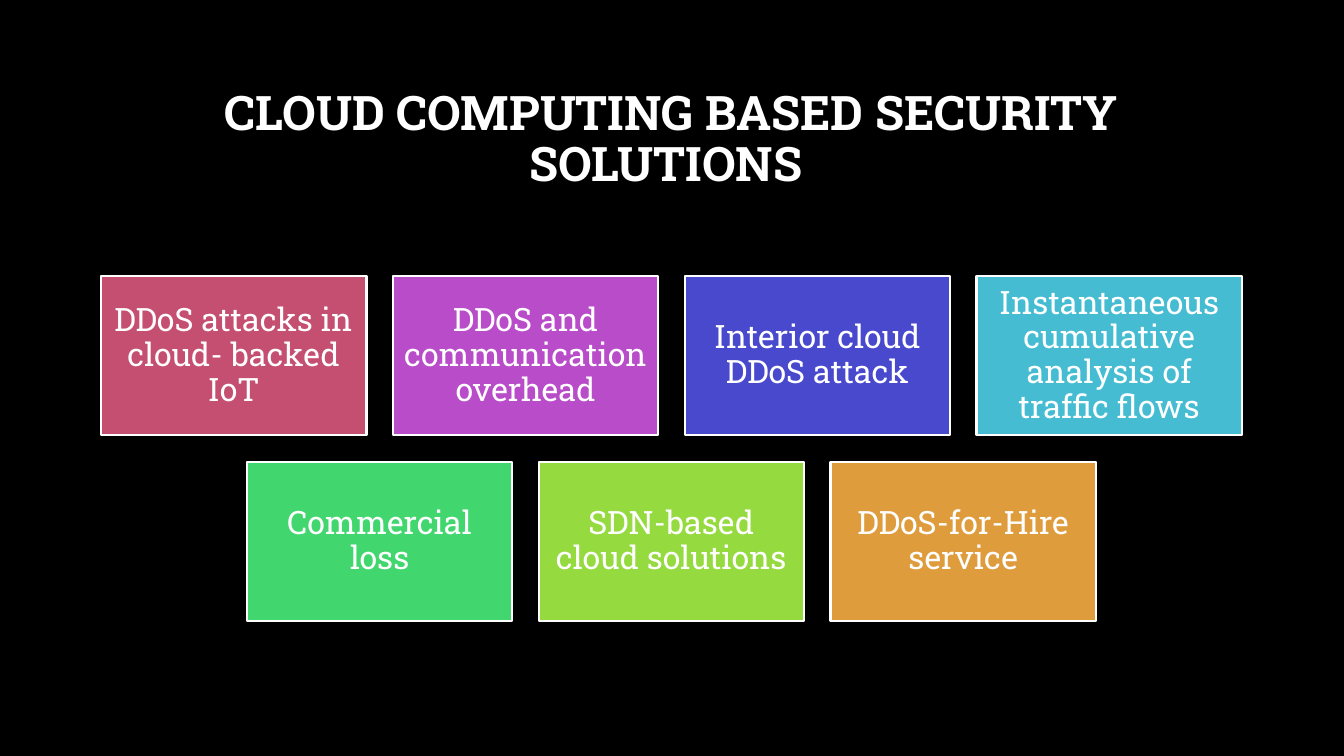
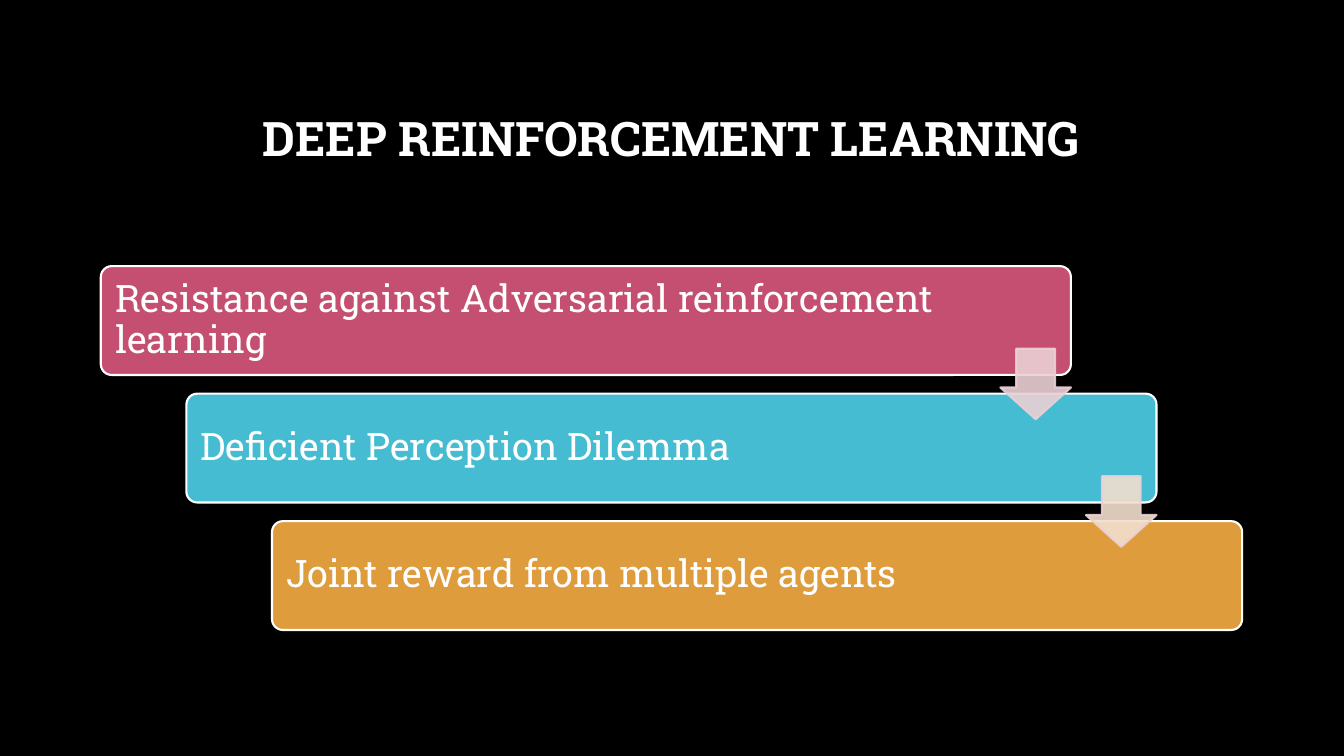
import pptx
import pptx.util
import pptx.dml.color
import pptx.enum.shapes
import pptx.enum.text
import pptx.oxml.ns
import lxml.etree

Inches = pptx.util.Inches
Pt = pptx.util.Pt
SHAPE = pptx.enum.shapes.MSO_SHAPE
ALIGN = pptx.enum.text.PP_ALIGN
ANCHOR = pptx.enum.text.MSO_ANCHOR

FONT = "Roboto Slab"
BLACK, WHITE = "000000", "FFFFFF"
ROSE, VIOLET, INDIGO, CYAN = "C54F71", "B84CC9", "4949CD", "45BCD2"
GREEN, LIME, AMBER = "42D66E", "95DA3F", "DE9C3C"
PALE_ROSE, PALE_AMBER = "EAD0D5", "F2DECE"
LEFT, WIDTH = 1, 11.32

TILE_ROWS = [
    [("DDoS attacks in cloud- backed IoT", ROSE),
     ("DDoS and communication overhead", VIOLET),
     ("Interior cloud DDoS attack", INDIGO),
     ("Instantaneous cumulative analysis of traffic flows", CYAN)],
    [("Commercial loss", GREEN),
     ("SDN-based cloud solutions", LIME),
     ("DDoS-for-Hire service", AMBER)],
]
STEPS = [
    ("Resistance against Adversarial reinforcement learning", ROSE, PALE_ROSE),
    ("Deficient Perception Dilemma", CYAN, PALE_AMBER),
    ("Joint reward from multiple agents", AMBER, None),
]


def paint(fill, color, alpha=100):
    """Make a fill solid in a hex colour, with opacity in percent."""
    fill.solid()
    fill.fore_color.rgb = pptx.dml.color.RGBColor.from_string(color)
    if alpha < 100:
        qn = pptx.oxml.ns.qn
        for clr in fill._xPr.iter(qn("a:srgbClr")):
            if clr.getparent().getparent() is fill._xPr:
                lxml.etree.SubElement(clr, qn("a:alpha"), val=str(alpha * 1000))


def write(tf, text, size, align, bold=False):
    """Fill a text frame with one white paragraph, centred vertically."""
    tf.word_wrap = True
    tf.auto_size = pptx.enum.text.MSO_AUTO_SIZE.NONE
    tf.vertical_anchor = ANCHOR.MIDDLE
    tf.text = text
    p = tf.paragraphs[0]
    p.alignment = align
    p.line_spacing = 0.9
    p.font.name = FONT
    p.font.size = Pt(size)
    p.font.bold = bold
    paint(p.font.fill, WHITE)


def add_block(s, kind, box, color, line=WHITE, alpha=100, adjust=()):
    """Add a filled and outlined shape in a box given in inches."""
    sp = s.shapes.add_shape(kind, *map(Inches, box))
    sp.shadow.inherit = False
    for i, value in enumerate(adjust):
        sp.adjustments[i] = value
    paint(sp.fill, color, alpha)
    sp.line.width = Pt(1.5)
    paint(sp.line.fill, line, alpha)
    return sp


def set_insets(tf, left, right, vertical):
    """Set the margins of a text frame in inches."""
    tf.margin_left, tf.margin_right = Inches(left), Inches(right)
    tf.margin_top = tf.margin_bottom = Inches(vertical)


def add_titled_slide(prs, title):
    """Add a title-only slide with the shared title style."""
    s = prs.slides.add_slide(prs.slide_layouts[5])
    sp = s.shapes.title
    sp.left, sp.top = Inches(LEFT), Inches(0.67)
    sp.width, sp.height = Inches(WIDTH), Inches(1.45)
    write(sp.text_frame, title, 34, ALIGN.CENTER, bold=True)
    return s


def add_tiles(s, rows, left, top, width, height, gap=0.26):
    """Place rows of equal tiles in a box, each row centred."""
    columns = max(map(len, rows))
    w = (width - gap * (columns - 1)) / columns
    h = (height - gap * (len(rows) - 1)) / len(rows)
    for i, row in enumerate(rows):
        x0 = left + (columns - len(row)) * (w + gap) / 2
        for j, (text, color) in enumerate(row):
            box = (x0 + j * (w + gap), top + i * (h + gap), w, h)
            sp = add_block(s, SHAPE.RECTANGLE, box, color)
            set_insets(sp.text_frame, 0.1, 0.1, 0.1)
            write(sp.text_frame, text, 23, ALIGN.CENTER)


def add_staircase(s, steps, left, top, width, height):
    """Place bars stepping down to the right, then the arrows between them."""
    w, h, arrow = width * 0.85, 1.08, 0.7
    dx = (width - w) / (len(steps) - 1)
    dy = (height - h) / (len(steps) - 1)
    for i, (text, color, _) in enumerate(steps):
        box = (left + i * dx, top + i * dy, w, h)
        sp = add_block(s, SHAPE.ROUNDED_RECTANGLE, box, color, adjust=[0.1])
        set_insets(sp.text_frame, 0.11, 1.22, 0.11)
        write(sp.text_frame, text, 27, ALIGN.LEFT)
    for i, (_, _, color) in enumerate(steps[:-1]):
        box = (left + i * dx + w - arrow, top + i * dy + 0.82, arrow, arrow)
        add_block(s, SHAPE.DOWN_ARROW, box, color, PALE_ROSE, 90, [0.55, 0.45])


def main():
    """Build and save the presentation."""
    prs = pptx.Presentation()
    prs.slide_width, prs.slide_height = Inches(13.33), Inches(7.5)
    paint(prs.slide_master.background.fill, BLACK)
    s = add_titled_slide(prs, "CLOUD COMPUTING BASED SECURITY SOLUTIONS ")
    add_tiles(s, TILE_ROWS, LEFT, 2.74, WIDTH, 3.42)
    s = add_titled_slide(prs, "DEEP REINFORCEMENT LEARNING")
    add_staircase(s, STEPS, LEFT, 2.64, WIDTH, 3.61)
    prs.save("out.pptx")


if __name__ == "__main__":
    main()
